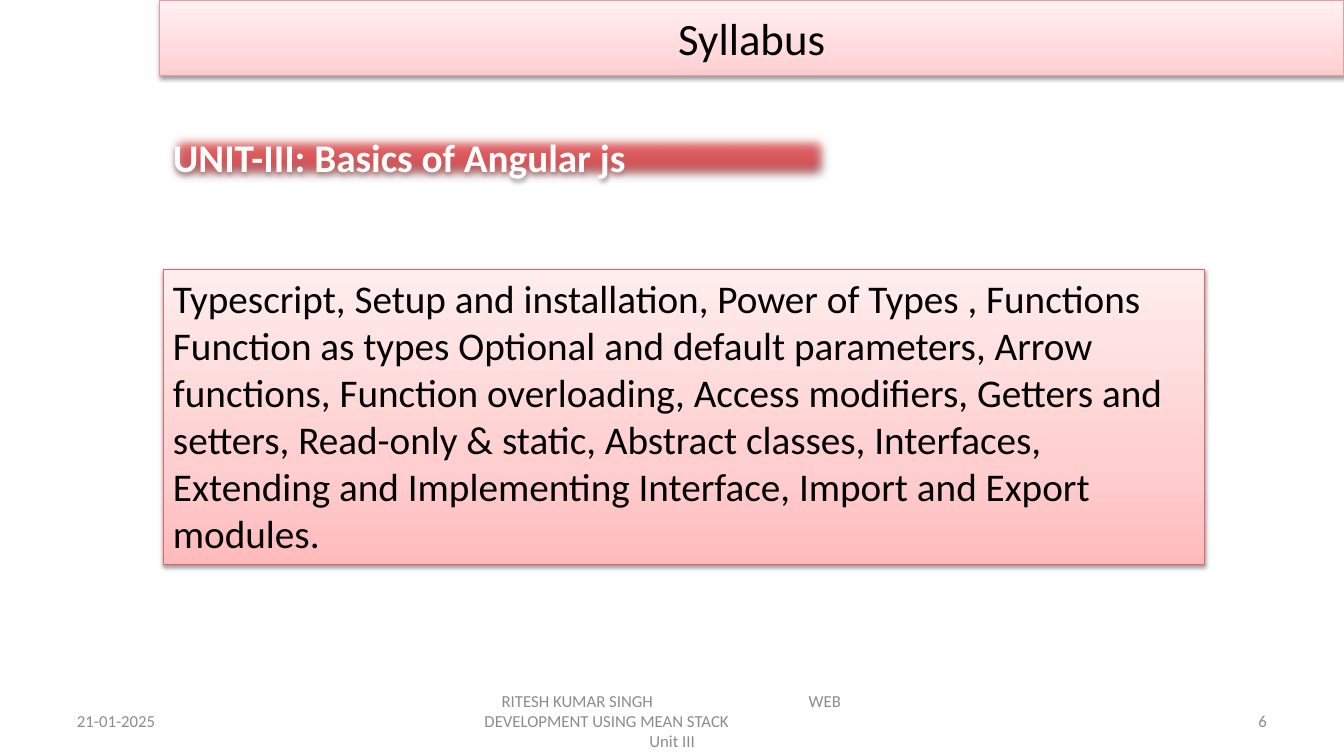
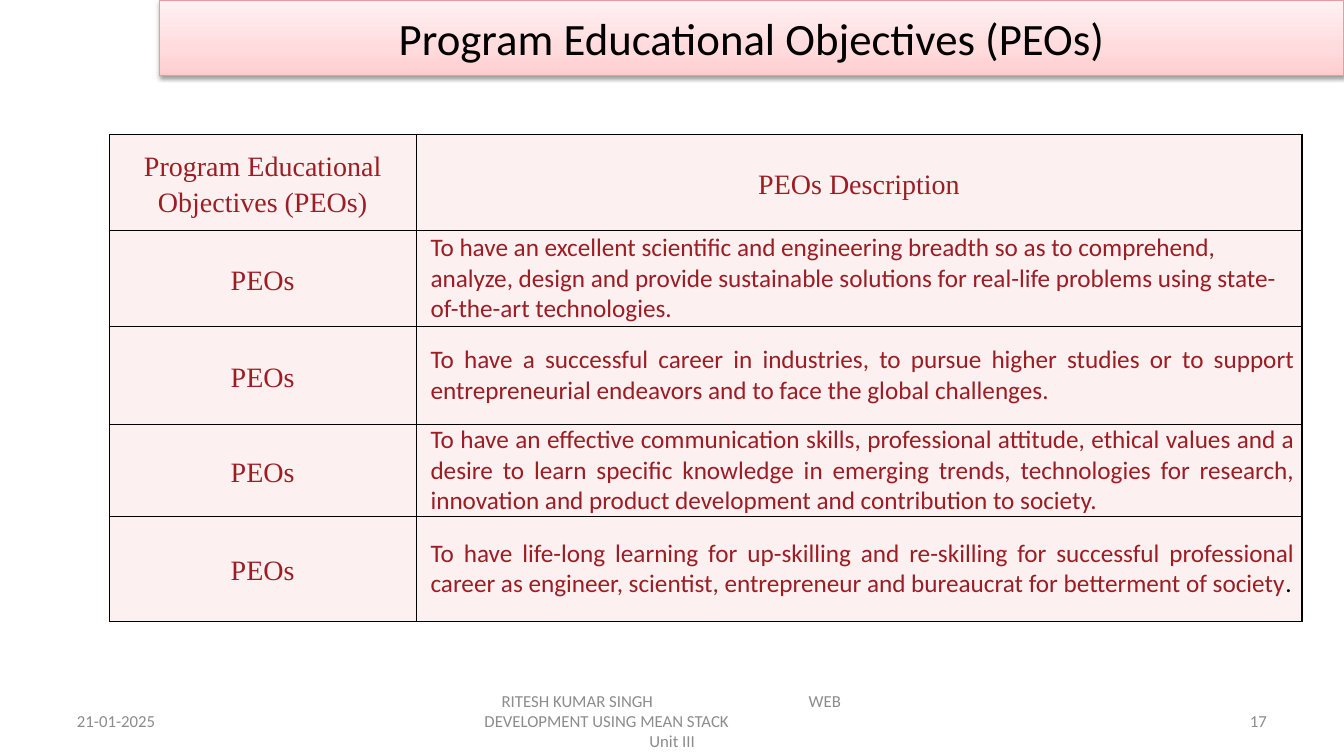
from lxml.etree import SubElement
from pptx import Presentation
from pptx.dml.color import RGBColor
from pptx.enum.shapes import MSO_SHAPE
from pptx.enum.text import MSO_ANCHOR as ANCHOR, MSO_AUTO_SIZE as AUTO, PP_ALIGN as ALIGN
from pptx.oxml.ns import qn
from pptx.util import Cm, Pt

WIDTH, HEIGHT = 33.87, 19.05
BLACK = RGBColor(0x00, 0x00, 0x00)
WHITE = RGBColor(0xFF, 0xFF, 0xFF)
GREY = RGBColor(0x8C, 0x8C, 0x8C)
DARK_RED = RGBColor(0x9C, 0x1D, 0x23)
CELL_PINK = RGBColor(0xFC, 0xF0, 0xF1)
TITLE_LINE = RGBColor(0xE8, 0x9C, 0xA0)
BODY_LINE = RGBColor(0xE6, 0x62, 0x65)

# Gradient stops run from the bottom edge to the top edge
TITLE_STOPS = ((0, RGBColor(0xFF, 0xCD, 0xCF)), (35, RGBColor(0xFF, 0xDB, 0xDD)),
               (100, RGBColor(0xFF, 0xF1, 0xF2)))
HEADING_STOPS = ((0, RGBColor(0xB4, 0x46, 0x49)), (80, RGBColor(0xF1, 0x65, 0x69)),
                 (100, RGBColor(0xF5, 0x63, 0x67)))
BODY_STOPS = ((0, RGBColor(0xFF, 0xBB, 0xBC)), (35, RGBColor(0xFF, 0xCF, 0xD0)),
              (100, RGBColor(0xFF, 0xED, 0xED)))

SANS, SERIF = "Calibri", "Times New Roman"
DATE = "21-01-2025"
FOOTER_LINES = (
    ("\tRITESH KUMAR SINGH\tWEB", ALIGN.LEFT, (0.81, 8.55)),
    ("\tDEVELOPMENT USING MEAN STACK", ALIGN.LEFT, (0.38,)),
    ("Unit III", ALIGN.CENTER, ()),
)

SYLLABUS = (
    "Typescript, Setup and installation, Power of Types , Functions Function as types "
    "Optional and default parameters, Arrow functions, Function overloading, Access "
    "modifiers, Getters and setters, Read-only & static, Abstract classes, Interfaces, "
    "Extending and Implementing Interface, Import and Export modules."
)

PEO_HEADER = ("Program Educational Objectives (PEOs)", "PEOs Description")
# Alignment and (text, colour) runs of each description
PEO_ROWS = (
    (ALIGN.LEFT, [(
        "To have an excellent scientific and engineering breadth so as to comprehend, "
        "analyze, design and provide sustainable solutions for real-life problems using "
        "state-of-the-art technologies.", DARK_RED)]),
    (ALIGN.JUSTIFY, [(
        "To have a successful career in industries, to pursue higher studies or to "
        "support entrepreneurial endeavors and to face the global challenges.", DARK_RED)]),
    (ALIGN.JUSTIFY, [(
        "To have an effective communication skills, professional attitude, ethical values "
        "and a desire to learn specific knowledge in emerging trends, technologies for "
        "research, innovation and product development and contribution to society.",
        DARK_RED)]),
    (ALIGN.JUSTIFY, [(
        "To have life-long learning for up-skilling and re-skilling for successful "
        "professional career as engineer, scientist, entrepreneur and bureaucrat for "
        "betterment of society", DARK_RED), (".", BLACK)]),
)


class Deck:
    """Holds the presentation, its style and the slide being built."""

    def __init__(self):
        self.prs = Presentation()
        self.prs.slide_width, self.prs.slide_height = Cm(WIDTH), Cm(HEIGHT)
        self.slide = None

    def add_slide(self, title, number):
        self.slide = self.prs.slides.add_slide(self.prs.slide_layouts[5])
        self.title(title)
        self.footer(number)

    def run(self, p, text, size, color, font=SANS, bold=False):
        r = p.add_run()
        r.text = text
        r.font.name, r.font.size, r.font.bold = font, Pt(size), bold
        r.font.color.rgb = color

    def panel_style(self, sp, stops, line=None, alpha=38, dist=20000, soft_edge=None):
        """Give a shape a vertical gradient, an outline, a shadow and soft edges."""
        sp.fill.gradient()
        sp.fill.gradient_angle = 90
        spPr = sp.element.spPr
        gs_list = spPr.find(qn("a:gradFill")).find(qn("a:gsLst"))
        for gs in list(gs_list):
            gs_list.remove(gs)
        for pos, color in stops:
            gs = SubElement(gs_list, qn("a:gs"), pos=str(pos * 1000))
            SubElement(gs, qn("a:srgbClr"), val=str(color))
        if line is None:
            sp.line.fill.background()
        else:
            sp.line.color.rgb, sp.line.width = line, Pt(0.75)
        sp.shadow.inherit = False
        effects = spPr.find(qn("a:effectLst"))
        shadow = SubElement(effects, qn("a:outerShdw"), blurRad="40000", dist=str(dist),
                            dir="5400000", rotWithShape="0")
        black = SubElement(shadow, qn("a:srgbClr"), val=str(BLACK))
        SubElement(black, qn("a:alpha"), val=str(alpha * 1000))
        if soft_edge:
            SubElement(effects, qn("a:softEdge"), rad=str(soft_edge))

    def title(self, text):
        sp = self.slide.shapes.title
        left = 4.02
        sp.left, sp.top, sp.width, sp.height = Cm(left), Cm(0), Cm(WIDTH - left), Cm(1.9)
        self.panel_style(sp, TITLE_STOPS, TITLE_LINE)
        tf = sp.text_frame
        tf.auto_size, tf.vertical_anchor = AUTO.NONE, ANCHOR.MIDDLE
        p = tf.paragraphs[0]
        p.alignment = ALIGN.CENTER
        self.run(p, text, 32, BLACK)

    def footer(self, number):
        side, width = 1.69, 7.9
        self.footer_box(side, width, [(DATE, ALIGN.LEFT, ())])
        self.footer_box(11.58, 10.72, FOOTER_LINES)
        self.footer_box(WIDTH - side - width, width, [(str(number), ALIGN.RIGHT, ())])

    def footer_box(self, left, width, lines):
        """Add a footer part; each line is its text, alignment and tab stops in cm."""
        sp = self.slide.shapes.add_textbox(Cm(left), Cm(17.66), Cm(width), Cm(1.01))
        tf = sp.text_frame
        tf.word_wrap, tf.auto_size, tf.vertical_anchor = True, AUTO.NONE, ANCHOR.MIDDLE
        for i, (text, align, tabs) in enumerate(lines):
            p = tf.add_paragraph() if i else tf.paragraphs[0]
            p.alignment = align
            if tabs:
                tab_list = SubElement(p._p.get_or_add_pPr(), qn("a:tabLst"))
                for pos in tabs:
                    SubElement(tab_list, qn("a:tab"), pos=str(Cm(pos)), algn="l")
            self.run(p, text, 12, GREY)

    def panel(self, top, width, height, text, color, align=ALIGN.LEFT, bold=False, **style):
        sp = self.slide.shapes.add_shape(MSO_SHAPE.RECTANGLE, Cm(4.11), Cm(top),
                                         Cm(width), Cm(height))
        self.panel_style(sp, **style)
        tf = sp.text_frame
        tf.word_wrap, tf.vertical_anchor = True, ANCHOR.TOP
        p = tf.paragraphs[0]
        p.alignment = align
        self.run(p, text, 28, color, bold=bold)

    def table(self, left, top, col_widths, row_heights):
        frame = self.slide.shapes.add_table(
            len(row_heights), len(col_widths), Cm(left), Cm(top),
            Cm(sum(col_widths)), Cm(sum(row_heights)))
        tbl = frame.table
        tbl.first_row = tbl.horz_banding = False
        for col, width in zip(tbl.columns, col_widths):
            col.width = Cm(width)
        for row, height in zip(tbl.rows, row_heights):
            row.height = Cm(height)
        for cell in tbl.iter_cells():
            self.cell_style(cell)
        return tbl

    def cell_style(self, cell):
        tcPr = cell._tc.get_or_add_tcPr()
        for side in ("a:lnL", "a:lnR", "a:lnT", "a:lnB"):
            ln = SubElement(tcPr, qn(side), w=str(Pt(1)))
            SubElement(SubElement(ln, qn("a:solidFill")), qn("a:srgbClr"), val=str(BLACK))
        cell.fill.solid()
        cell.fill.fore_color.rgb = CELL_PINK
        cell.vertical_anchor = ANCHOR.MIDDLE
        cell.margin_left = cell.margin_right = Cm(0.18)
        cell.margin_top = cell.margin_bottom = 0

    def label_cell(self, cell, text):
        p = cell.text_frame.paragraphs[0]
        p.alignment, p.line_spacing = ALIGN.CENTER, 1.15
        self.run(p, text, 20, DARK_RED, SERIF)

    def description_cell(self, cell, align, runs):
        p = cell.text_frame.paragraphs[0]
        p.alignment = align
        pPr = p._p.get_or_add_pPr()
        pPr.set("marL", str(Cm(0.18)))
        pPr.set("indent", "0")
        for text, color in runs:
            self.run(p, text, 18, color)


def syllabus_slide(deck):
    deck.add_slide("Syllabus", 6)
    deck.panel(3.23, 16.93, 1.45, "UNIT-III: Basics of Angular js", WHITE, ALIGN.JUSTIFY,
               bold=True, stops=HEADING_STOPS, alpha=35, dist=23000, soft_edge=112500)
    deck.panel(6.78, 26.25, 7.44, SYLLABUS, BLACK, stops=BODY_STOPS, line=BODY_LINE)


def objectives_slide(deck):
    deck.add_slide("Program Educational Objectives (PEOs)", 17)
    tbl = deck.table(2.75, 3.39, (7.74, 22.32), (2.42, 2.42, 2.46, 2.18, 2.64))
    for col, text in enumerate(PEO_HEADER):
        deck.label_cell(tbl.cell(0, col), text)
    for row, (align, runs) in enumerate(PEO_ROWS, start=1):
        deck.label_cell(tbl.cell(row, 0), "PEOs")
        deck.description_cell(tbl.cell(row, 1), align, runs)


def main():
    deck = Deck()
    syllabus_slide(deck)
    objectives_slide(deck)
    deck.prs.save("out.pptx")


if __name__ == "__main__":
    main()
